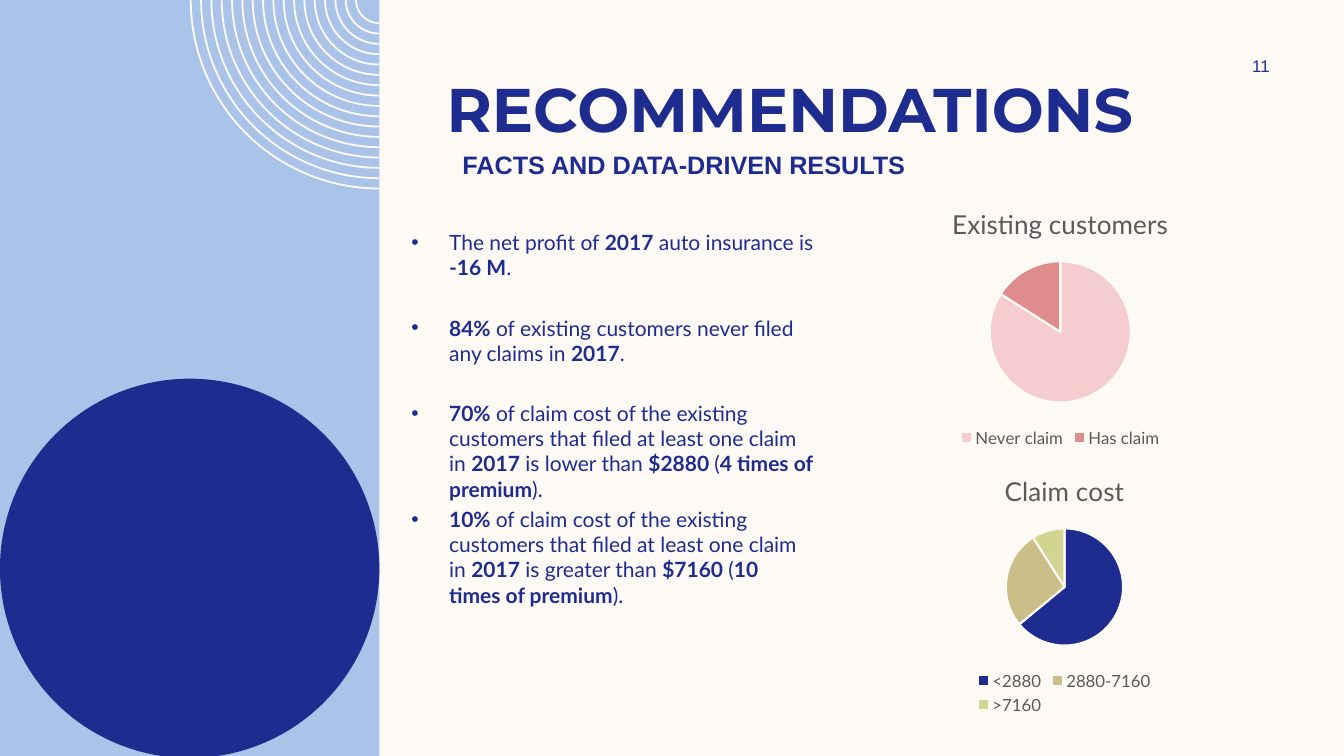
import dataclasses

import lxml.etree
import pptx
import pptx.chart.data
import pptx.dml.color
import pptx.enum.chart
import pptx.enum.shapes
import pptx.enum.text
import pptx.oxml.ns
import pptx.util

Pt = pptx.util.Pt
Align = pptx.enum.text.PP_ALIGN
Anchor = pptx.enum.text.MSO_ANCHOR


@dataclasses.dataclass(frozen=True)
class Theme:
    cream: str = "FDFAF6"
    sky: str = "AAC3E8"
    navy: str = "1F2C8F"
    grey: str = "595959"
    black: str = "000000"
    title_font: str = "Montserrat"
    plain_font: str = "Arial"
    body_font: str = "Lato"
    title_size: float = 44
    subtitle_size: float = 18
    body_size: float = 15
    small_size: float = 12
    chart_size: float = 10
    chart_title_size: float = 18.6


@dataclasses.dataclass(frozen=True)
class Box:
    left: float
    top: float
    width: float
    height: float

    def lengths(self) -> tuple:
        return Pt(self.left), Pt(self.top), Pt(self.width), Pt(self.height)


@dataclasses.dataclass(frozen=True)
class Fact:
    text: str
    space_before: float


@dataclasses.dataclass(frozen=True)
class Pie:
    title: str
    box: Box
    slices: tuple[tuple[str, int, str], ...]


THEME = Theme()
PANEL_WIDTH = 271
RING_RADII = [134.7 - ring * 7.38 for ring in range(17)]
RING_THICKNESS = 1.3
QUARTER_TURN = 90 * 60000
BULLET_INDENT = 27

FACTS = (
    Fact("The net profit of *2017* auto insurance is* -16 M*.", 3.6),
    Fact("*84%* of existing customers never filed any claims in *2017*.", 25),
    Fact("*70%* of claim cost of the existing customers that filed at least one claim in *2017*"
         " is lower than *$2880 *(*4 times of premium*).", 25),
    Fact("*10% *of claim cost of the existing customers that filed at least one claim in *2017*"
         " is greater than *$7160 *(*10 times of premium*).", 3.6),
)

PIES = (
    Pie("Existing customers", Box(640, 135.4, 234.7, 187.2),
        (("Never claim", 84, "F5CDCE"), ("Has claim", 16, "DE8C8C"))),
    Pie("Claim cost", Box(643, 326.2, 234.7, 187.2),
        (("<2880", 64, THEME.navy), ("2880-7160", 27, "CCBE89"), (">7160", 9, "D2D592"))),
)


def paint(fill, color: str) -> None:
    fill.solid()
    fill.fore_color.rgb = pptx.dml.color.RGBColor.from_string(color)


def style_font(font, name: str, size: float, color: str, bold: bool = False) -> None:
    font.name = name
    font.size = Pt(size)
    font.bold = bold
    font.color.rgb = pptx.dml.color.RGBColor.from_string(color)


def write_text(paragraph, text: str, *, font: str, size: float, bold: bool = False,
               align: Align = Align.LEFT, space_before: float = 0) -> None:
    paragraph.alignment = align
    paragraph.space_before = Pt(space_before)
    for index, part in enumerate(text.split("*")):
        if part:
            run = paragraph.add_run()
            run.text = part
            style_font(run.font, font, size, THEME.navy, bold or index % 2 == 1)


def prepare_frame(shape, anchor: Anchor = Anchor.TOP, inset: float = 7.2):
    frame = shape.text_frame
    frame.word_wrap = True
    frame.auto_size = pptx.enum.text.MSO_AUTO_SIZE.NONE
    frame.vertical_anchor = anchor
    frame.margin_left = frame.margin_right = Pt(inset)
    frame.margin_top = frame.margin_bottom = Pt(3.6)
    return frame


def add_bullet(paragraph) -> None:
    properties = paragraph._p.get_or_add_pPr()
    properties.set("marL", str(Pt(BULLET_INDENT)))
    properties.set("indent", str(-Pt(BULLET_INDENT)))
    font = lxml.etree.SubElement(properties, pptx.oxml.ns.qn("a:buFont"))
    font.set("typeface", THEME.plain_font)
    bullet = lxml.etree.SubElement(properties, pptx.oxml.ns.qn("a:buChar"))
    bullet.set("char", "•")


def add_rings(slide) -> None:
    builder = slide.shapes.build_freeform(Pt(PANEL_WIDTH - RING_RADII[0]), 0)
    for radius in RING_RADII:
        builder.move_to(Pt(PANEL_WIDTH - radius), 0)
        builder.add_line_segments([(Pt(PANEL_WIDTH), Pt(radius))], close=False)
    rings = builder.convert_to_shape()
    rings.shadow.inherit = False
    rings.fill.background()
    paint(rings.line.fill, THEME.cream)
    rings.line.width = Pt(RING_THICKNESS)
    segments = list(rings._element.iter(pptx.oxml.ns.qn("a:lnTo")))
    for segment, radius in zip(segments, RING_RADII):
        arc = lxml.etree.Element(pptx.oxml.ns.qn("a:arcTo"))
        for name, value in (("wR", Pt(radius)), ("hR", Pt(radius)),
                            ("stAng", 2 * QUARTER_TURN), ("swAng", -QUARTER_TURN)):
            arc.set(name, str(int(value)))
        segment.getparent().replace(segment, arc)


def add_panel_shape(slide, kind, box: Box, color: str) -> None:
    shape = slide.shapes.add_shape(kind, *box.lengths())
    paint(shape.fill, color)
    shape.line.fill.background()
    shape.shadow.inherit = False


def add_side_panel(slide) -> None:
    kinds = pptx.enum.shapes.MSO_SHAPE
    add_panel_shape(slide, kinds.RECTANGLE, Box(0, 0, PANEL_WIDTH, 540), THEME.sky)
    add_rings(slide)
    add_panel_shape(slide, kinds.OVAL, Box(0, 270.5, PANEL_WIDTH, PANEL_WIDTH), THEME.navy)


def add_headings(slide) -> None:
    title = slide.shapes.title
    title.left, title.top, title.width, title.height = Box(311.8, 46.8, 643, 112.3).lengths()
    write_text(prepare_frame(title).paragraphs[0], "RECOMMENDATIONS",
               font=THEME.title_font, size=THEME.title_size, bold=True)
    number = slide.shapes.add_textbox(*Box(861.8, 36, 77.8, 21.6).lengths())
    write_text(prepare_frame(number, Anchor.MIDDLE).paragraphs[0], "11",
               font=THEME.plain_font, size=THEME.small_size, align=Align.CENTER)
    subtitle = slide.shapes.add_textbox(*Box(323.3, 103, 345.6, 32.4).lengths())
    write_text(prepare_frame(subtitle).paragraphs[0], "FACTS AND DATA-DRIVEN RESULTS",
               font=THEME.plain_font, size=THEME.subtitle_size, bold=True)


def add_facts(slide) -> None:
    shape = slide.shapes.add_textbox(*Box(290.2, 160.6, 294.5, 290.2).lengths())
    frame = prepare_frame(shape, inset=3.6)
    for index, fact in enumerate(FACTS):
        paragraph = frame.add_paragraph() if index else frame.paragraphs[0]
        write_text(paragraph, fact.text, font=THEME.body_font, size=THEME.body_size,
                   space_before=fact.space_before)
        add_bullet(paragraph)


def add_pie(slide, pie: Pie) -> None:
    labels, values, colors = zip(*pie.slices)
    data = pptx.chart.data.CategoryChartData()
    data.categories = labels
    data.add_series(pie.title, values)
    kind = pptx.enum.chart.XL_CHART_TYPE.PIE
    chart = slide.shapes.add_chart(kind, *pie.box.lengths(), data).chart
    style_font(chart.font, THEME.body_font, THEME.chart_size, THEME.black)
    heading = chart.chart_title.text_frame
    heading.text = pie.title
    style_font(heading.paragraphs[0].runs[0].font, THEME.body_font, THEME.chart_title_size, THEME.grey)
    chart.has_legend = True
    chart.legend.position = pptx.enum.chart.XL_LEGEND_POSITION.BOTTOM
    chart.legend.include_in_layout = False
    style_font(chart.legend.font, THEME.body_font, THEME.small_size, THEME.grey)
    chart.plots[0].vary_by_categories = True
    for index, color in enumerate(colors):
        point_format = chart.plots[0].series[0].points[index].format
        paint(point_format.fill, color)
        paint(point_format.line.fill, THEME.cream)
        point_format.line.width = Pt(1.5)


def main() -> None:
    presentation = pptx.Presentation()
    presentation.slide_width, presentation.slide_height = Pt(960), Pt(540)
    slide = presentation.slides.add_slide(presentation.slide_layouts[5])
    paint(slide.background.fill, THEME.cream)
    add_side_panel(slide)
    add_headings(slide)
    add_facts(slide)
    for pie in PIES:
        add_pie(slide, pie)
    presentation.save("out.pptx")


if __name__ == "__main__":
    main()
